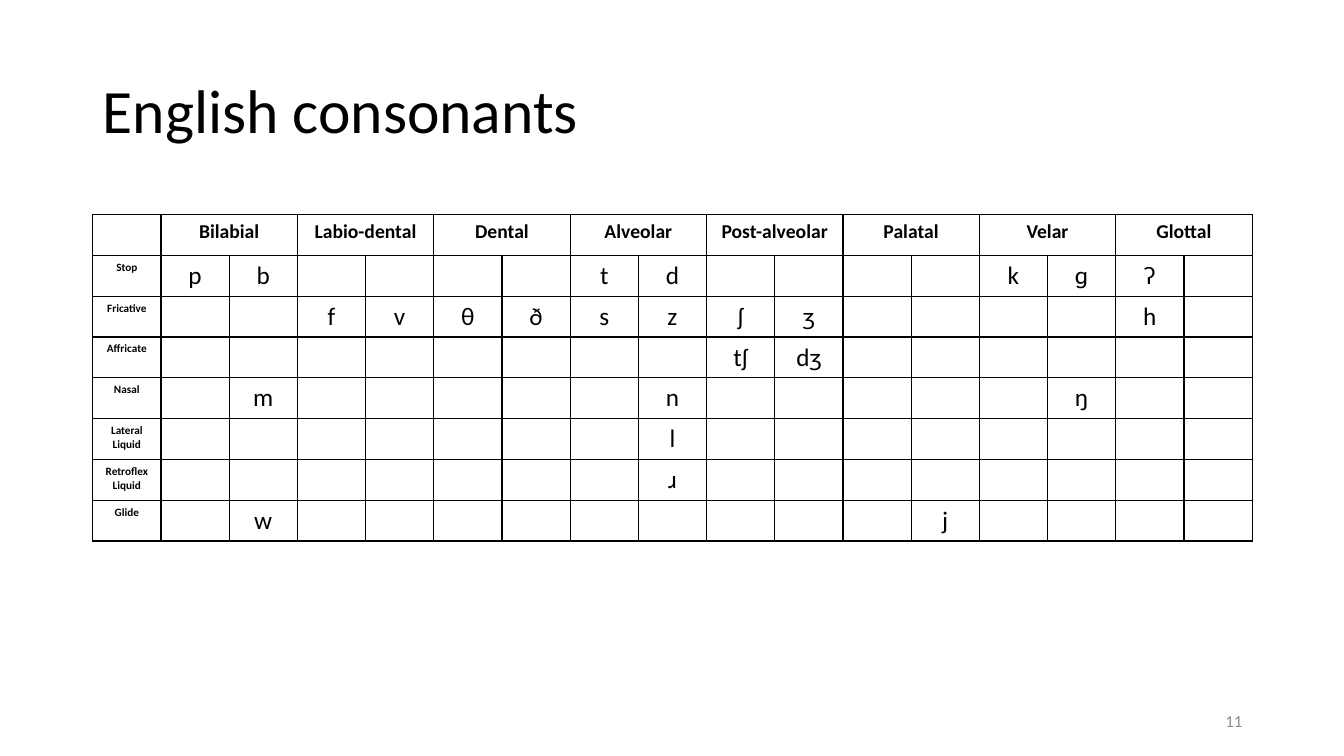
from dataclasses import dataclass

from pptx import Presentation
from pptx.dml.color import RGBColor
from pptx.enum.text import MSO_ANCHOR as Anchor, PP_ALIGN as Align
from pptx.oxml import parse_xml
from pptx.oxml.ns import nsdecls
from pptx.util import Emu, Pt

EMU_PER_PX = 9144  # 100 px to the inch


@dataclass(frozen=True)
class Theme:
    font: str = "Calibri"
    ink: str = "000000"
    muted: str = "8C8C8C"
    title_size: int = 44
    place_size: int = 14
    manner_size: int = 8
    sound_size: int = 18
    number_size: int = 12
    border_width: int = 1


THEME = Theme()

PLACES = ["Bilabial", "Labio-dental", "Dental", "Alveolar",
          "Post-alveolar", "Palatal", "Velar", "Glottal"]

# Manner -> place -> (voiceless, voiced)
SOUNDS = {
    "Stop": {"Bilabial": ("p", "b"), "Alveolar": ("t", "d"),
             "Velar": ("k", "ɡ"), "Glottal": ("ʔ", "")},
    "Fricative": {"Labio-dental": ("f", "v"), "Dental": ("θ", "ð"),
                  "Alveolar": ("s", "z"), "Post-alveolar": ("ʃ", "ʒ"),
                  "Glottal": ("h", "")},
    "Affricate": {"Post-alveolar": ("tʃ", "dʒ")},
    "Nasal": {"Bilabial": ("", "m"), "Alveolar": ("", "n"), "Velar": ("", "ŋ")},
    "Lateral\nLiquid": {"Alveolar": ("", "l")},
    "Retroflex\nLiquid": {"Alveolar": ("", "ɹ")},
    "Glide": {"Bilabial": ("", "w"), "Palatal": ("", "j")},
}


def px(length):
    return Emu(length * EMU_PER_PX)


def set_attributes(target, values):
    for name, value in values.items():
        setattr(target, name, value)


def write_text(frame, text, size, color=THEME.ink, bold=False,
               align=Align.CENTER, spacing=None):
    frame.text = text
    for paragraph in frame.paragraphs:
        set_attributes(paragraph, {"alignment": align, "line_spacing": spacing})
        for run in paragraph.runs:
            set_attributes(run.font, {"name": THEME.font, "size": Pt(size),
                                      "bold": bold})
            run.font.color.rgb = RGBColor.from_string(color)


def add_label(slide, box, text, size, **text_format):
    shape = slide.shapes.add_textbox(*map(px, box))
    set_attributes(shape.text_frame, {"word_wrap": True,
                                      "vertical_anchor": Anchor.MIDDLE})
    write_text(shape.text_frame, text, size, **text_format)


def style_cell(cell):
    properties = cell._tc.get_or_add_tcPr()
    for side in ("lnL", "lnR", "lnT", "lnB"):
        properties.append(parse_xml(
            f'<a:{side} {nsdecls("a")} w="{Pt(THEME.border_width)}">'
            f'<a:solidFill><a:srgbClr val="{THEME.ink}"/></a:solidFill>'
            f'</a:{side}>'))
    cell.fill.background()


def add_consonant_table(slide, box):
    row_count, column_count = len(SOUNDS) + 1, 2 * len(PLACES) + 1
    left, top, width, height = map(px, box)
    table = slide.shapes.add_table(row_count, column_count,
                                   left, top, width, height).table
    set_attributes(table, {"first_row": False, "horz_banding": False})
    for column in table.columns:
        column.width = Emu(width // column_count)
    for row in table.rows:
        row.height = Emu(height // row_count)
    for cell in table.iter_cells():
        style_cell(cell)

    # Places of articulation, each over a voiceless and a voiced column
    for index, place in enumerate(PLACES):
        first = 2 * index + 1
        header = table.cell(0, first)
        header.merge(table.cell(0, first + 1))
        write_text(header.text_frame, place, THEME.place_size, bold=True)

    # Manners of articulation and their sounds
    for row_index, (manner, sounds) in enumerate(SOUNDS.items(), start=1):
        write_text(table.cell(row_index, 0).text_frame, manner,
                   THEME.manner_size, bold=True)
        for place, pair in sounds.items():
            first = 2 * PLACES.index(place) + 1
            for column_index, sound in enumerate(pair, start=first):
                if sound:
                    write_text(table.cell(row_index, column_index).text_frame,
                               sound, THEME.sound_size)


def main():
    presentation = Presentation()
    set_attributes(presentation, {"slide_width": px(1333),
                                  "slide_height": px(750)})
    slide = presentation.slides.add_slide(presentation.slide_layouts[6])

    # Title
    add_label(slide, (92, 40, 1150, 145), "English consonants",
              THEME.title_size, align=Align.LEFT, spacing=0.9)
    # Consonant chart
    add_consonant_table(slide, (92, 213, 1150, 324))
    # Slide number
    add_label(slide, (942, 695, 300, 40), "11", THEME.number_size,
              color=THEME.muted, align=Align.RIGHT)

    presentation.save("out.pptx")


if __name__ == "__main__":
    main()
